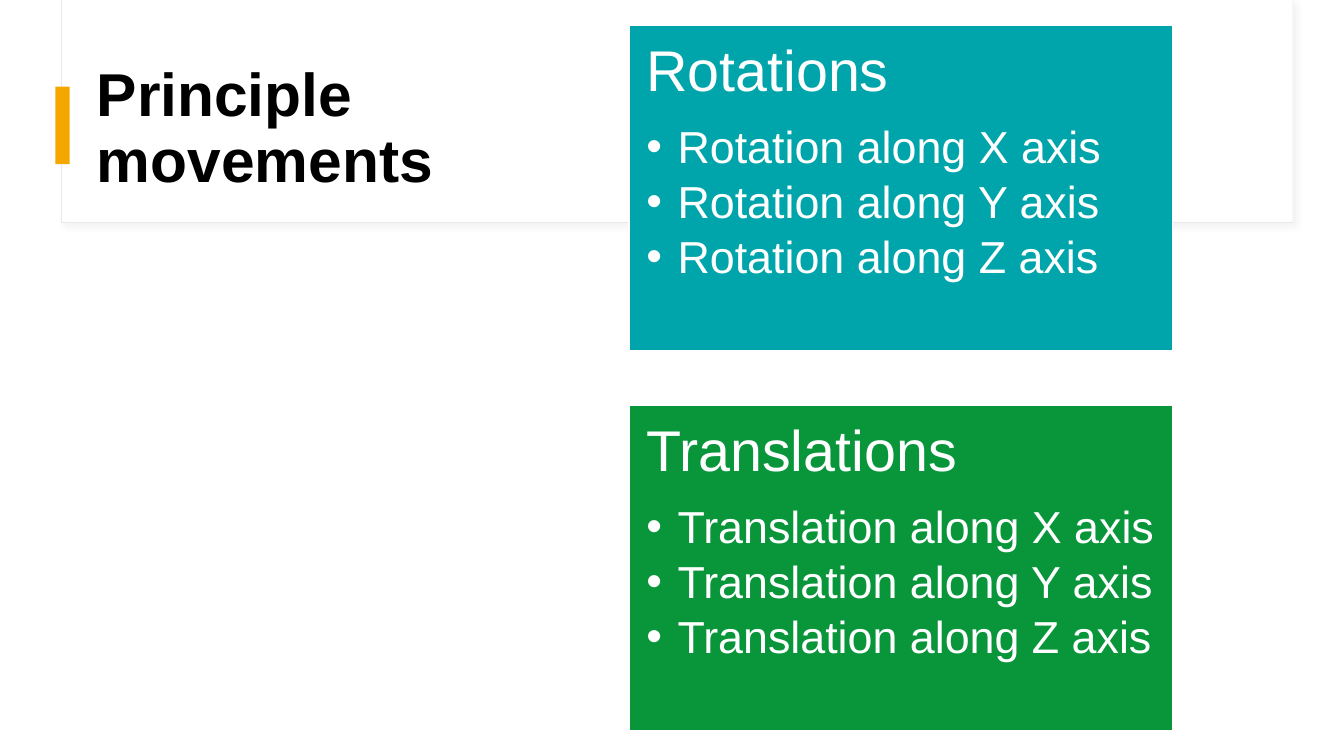
from dataclasses import dataclass

from lxml.etree import SubElement
from pptx import Presentation
from pptx.dml.color import RGBColor
from pptx.enum.shapes import MSO_SHAPE as Kind
from pptx.enum.text import MSO_ANCHOR as Anchor, MSO_AUTO_SIZE as Fit, PP_ALIGN as Align
from pptx.oxml.ns import qn
from pptx.shapes.autoshape import Shape
from pptx.slide import Slide
from pptx.text.text import _Paragraph as Para
from pptx.util import Emu, Inches, Pt


@dataclass
class Box:
    left: float
    top: float
    width: float
    height: float
    fill: str
    line: str = ""
    weight: float = 1


@dataclass
class Card:
    head: str
    move: str
    fill: str


CARDS = [
    Card("Rotations", "Rotation", "00A5AB"),
    Card("Translations", "Translation", "09963B"),
]
TOP, PITCH = 0.25, 3.77
INDENT = Inches(0.31)


def color(code: str) -> RGBColor:
    return RGBColor.from_string(code)


def draw(slide: Slide, box: Box) -> Shape:
    shape = slide.shapes.add_shape(
        Kind.RECTANGLE, Inches(box.left), Inches(box.top), Inches(box.width), Inches(box.height)
    )
    shape.shadow.inherit = False
    shape.fill.solid()
    shape.fill.fore_color.rgb = color(box.fill)
    if box.line:
        shape.line.color.rgb = color(box.line)
        shape.line.width = Pt(box.weight)
    else:
        shape.line.fill.background()
    return shape


def shade(shape: Shape) -> None:
    effects = shape.element.spPr.find(qn("a:effectLst"))
    outer = SubElement(
        effects, qn("a:outerShdw"), blurRad=str(Pt(4)), dist=str(Pt(3)), dir="2700000", algn="tl", rotWithShape="0"
    )
    tint = SubElement(outer, qn("a:srgbClr"), val="D9D9D9")
    SubElement(tint, qn("a:alpha"), val="30000")


def style(para: Para, size: float, tone: str, after: float = 0, bold: bool = False) -> None:
    para.alignment = Align.LEFT
    para.line_spacing = 0.9
    para.space_before = Pt(0)
    para.space_after = Pt(after)
    for run in para.runs:
        run.font.name = "Arial"
        run.font.size = Pt(size)
        run.font.bold = bold
        run.font.color.rgb = color(tone)


def bullet(para: Para) -> None:
    para.level = 1
    props = para._p.get_or_add_pPr()
    props.set("marL", str(INDENT))
    props.set("indent", str(Emu(-INDENT)))
    SubElement(props, qn("a:buFont"), typeface="Arial")
    SubElement(props, qn("a:buChar"), char="•")


def fill_card(slide: Slide, card: Card, top: float) -> None:
    frame = draw(slide, Box(6.24, top, 5.39, 3.23, card.fill, "FFFFFF")).text_frame
    frame.word_wrap = True
    frame.vertical_anchor = Anchor.TOP
    frame.margin_left = frame.margin_right = Inches(0.17)
    frame.margin_top = frame.margin_bottom = Inches(0.17)
    frame.text = card.head
    style(frame.paragraphs[0], 41, "FFFFFF", after=14.4)
    for axis in "XYZ":
        para = frame.add_paragraph()
        para.text = f"{card.move} along {axis} axis"
        bullet(para)
        style(para, 32, "FFFFFF", after=4.8)


def set_title(slide: Slide, text: str) -> None:
    title = slide.shapes.title
    title.left, title.top = Inches(0.86), Inches(0.92)
    title.width, title.height = Inches(4.67), Inches(0.74)
    frame = title.text_frame
    frame.text = text
    frame.word_wrap = True
    frame.auto_size = Fit.NONE
    frame.vertical_anchor = Anchor.MIDDLE
    style(frame.paragraphs[0], 43.2, "000000", bold=True)
    slide.shapes.element.append(title.element)


def main() -> None:
    deck = Presentation()
    deck.slide_width, deck.slide_height = Inches(13.33), Inches(7.5)
    slide = deck.slides.add_slide(deck.slide_layouts[5])
    shade(draw(slide, Box(0.61, 0, 12.21, 2.21, "FFFFFF", "E9E9E9", 0.75)))
    draw(slide, Box(0.62, 0, 12.2, 2.2, "FFFFFF"))
    draw(slide, Box(0.55, 0.86, 0.14, 0.77, "F5A700"))
    set_title(slide, "Principle movements")
    for row, card in enumerate(CARDS):
        fill_card(slide, card, TOP + row * PITCH)
    deck.save("out.pptx")


if __name__ == "__main__":
    main()
